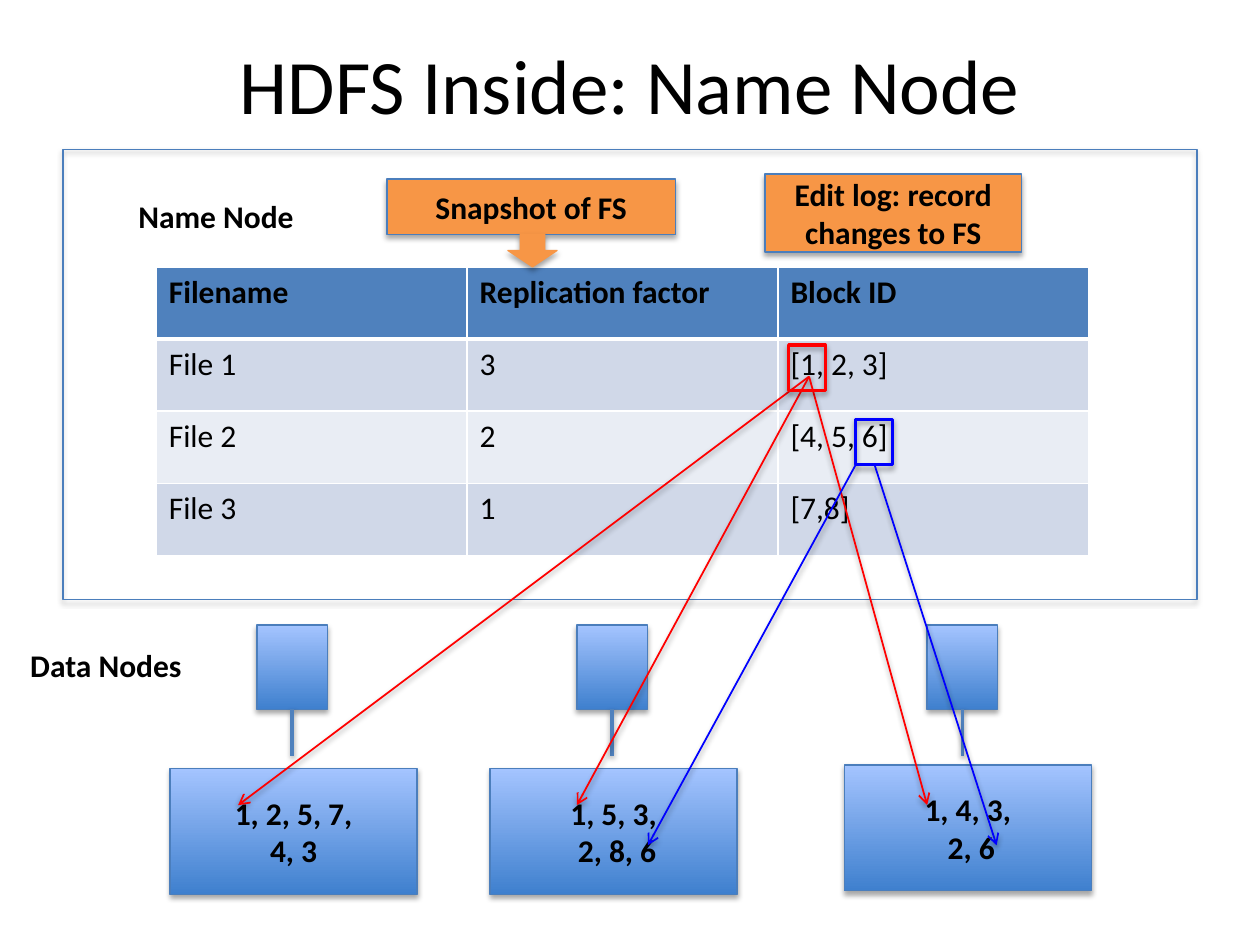
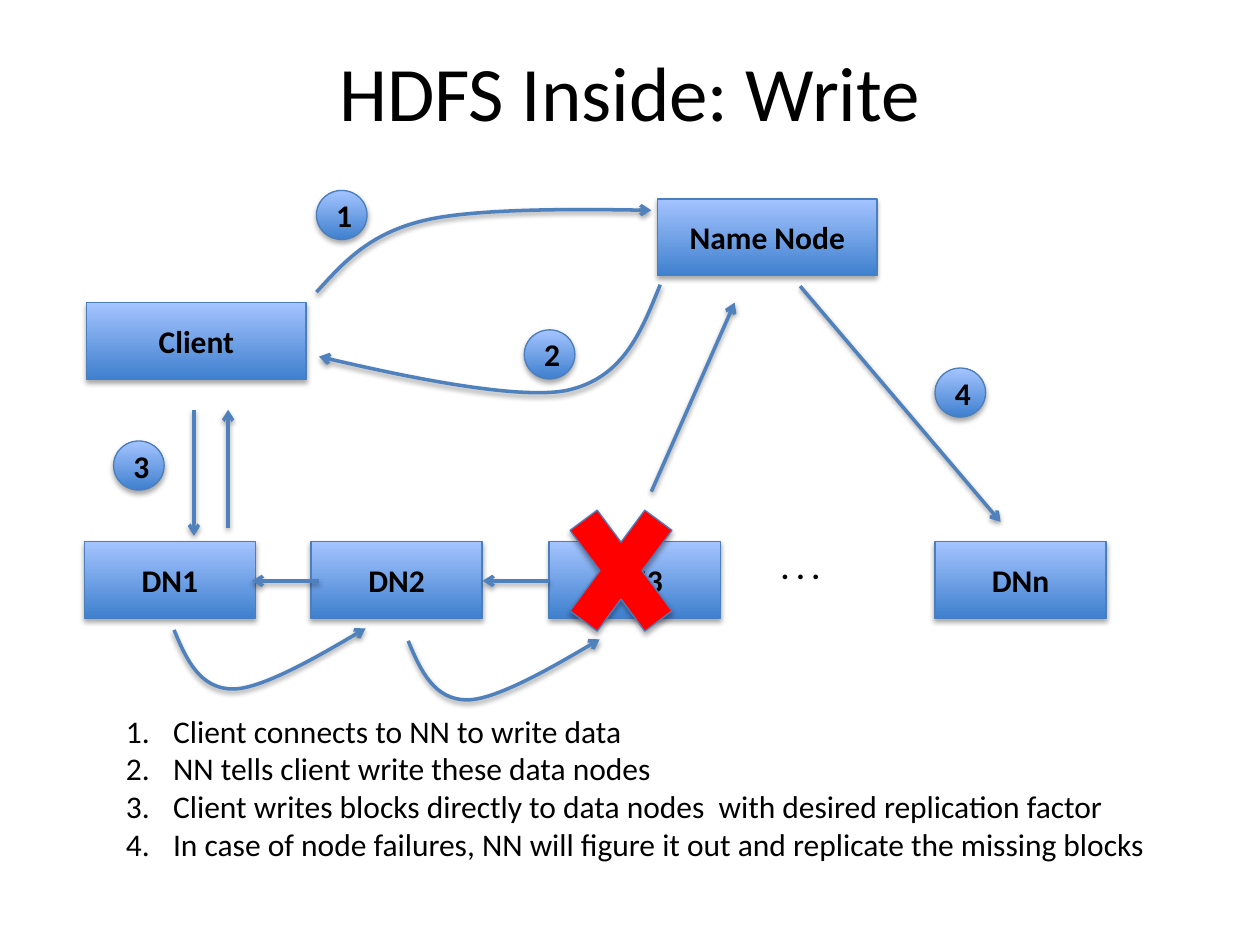
from lxml.etree import SubElement
from pptx import Presentation
from pptx.dml.color import RGBColor
from pptx.enum.shapes import MSO_CONNECTOR, MSO_SHAPE
from pptx.enum.text import MSO_ANCHOR, PP_ALIGN
from pptx.oxml.ns import qn
from pptx.util import Cm, Pt

# Shared style
FONT = "Calibri"
BLACK = RGBColor(0x00, 0x00, 0x00)
WHITE = RGBColor(0xFF, 0xFF, 0xFF)
RED = RGBColor(0xFF, 0x00, 0x00)
BLUE = RGBColor(0x00, 0x00, 0xFF)
ORANGE = RGBColor(0xF7, 0x96, 0x46)
ACCENT = RGBColor(0x4F, 0x81, 0xBD)
OUTLINE = RGBColor(0x4B, 0x7E, 0xBC)
NODE_BOTTOM = RGBColor(0x3F, 0x80, 0xCE)
NODE_TOP = RGBColor(0xA4, 0xC4, 0xFF)
ROW_DARK = RGBColor(0xD0, 0xD8, 0xE8)
ROW_LIGHT = RGBColor(0xE9, 0xED, 0xF4)
GRADIENT = (NODE_BOTTOM, NODE_TOP)


def write_text(frame, text, *, size=18, bold=True, align=PP_ALIGN.LEFT,
               anchor=MSO_ANCHOR.TOP, numbered=False):
    """Write one paragraph per line of text."""
    frame.word_wrap = True
    frame.vertical_anchor = anchor
    for index, line in enumerate(text.split("\n")):
        paragraph = frame.add_paragraph() if index else frame.paragraphs[0]
        paragraph.alignment = align
        if numbered:
            properties = paragraph._p.get_or_add_pPr()
            properties.set("marL", str(Cm(0.95)))
            properties.set("indent", str(-Cm(0.95)))
            SubElement(properties, qn("a:buAutoNum"), type="arabicPeriod")
        run = paragraph.add_run()
        run.text = line
        run.font.name = FONT
        run.font.size = Pt(size)
        run.font.bold = bold
        run.font.color.rgb = BLACK


def add_shadow(shape, distance, opacity):
    """Cast a soft shadow straight down."""
    effects = SubElement(shape._element.spPr, qn("a:effectLst"))
    shadow = SubElement(effects, qn("a:outerShdw"), blurRad=str(Pt(3.1)),
                        dist=str(Pt(distance)), dir="5400000", rotWithShape="0")
    color = SubElement(shadow, qn("a:srgbClr"), val=str(BLACK))
    SubElement(color, qn("a:alpha"), val=str(opacity * 1000))


def add_border(cell, side, width):
    border = SubElement(cell._tc.get_or_add_tcPr(), qn(f"a:ln{side}"), w=str(Pt(width)))
    fill = SubElement(border, qn("a:solidFill"))
    SubElement(fill, qn("a:srgbClr"), val=str(WHITE))


class SlideBuilder:
    """Holds the deck and the slide being drawn; lengths are in centimetres."""

    def __init__(self, presentation):
        self.presentation = presentation
        self.slide = None

    def start(self, title, top):
        self.slide = self.presentation.slides.add_slide(self.presentation.slide_layouts[6])
        self.text(title, 1.27, top, 22.86, 3.18, size=44, bold=False,
                  align=PP_ALIGN.CENTER, anchor=MSO_ANCHOR.MIDDLE)

    def text(self, text, left, top, width, height, **style):
        box = self.slide.shapes.add_textbox(Cm(left), Cm(top), Cm(width), Cm(height))
        write_text(box.text_frame, text, **style)

    def box(self, left, top, width, height, text="", kind=MSO_SHAPE.RECTANGLE,
            fill=GRADIENT, line=OUTLINE, weight=0.75):
        shape = self.slide.shapes.add_shape(kind, Cm(left), Cm(top), Cm(width), Cm(height))
        if fill is None:
            shape.fill.background()
        elif fill is GRADIENT:
            shape.fill.gradient()
            shape.fill.gradient_angle = 90
            for stop, color in zip(shape.fill.gradient_stops, GRADIENT):
                stop.color.rgb = color
        else:
            shape.fill.solid()
            shape.fill.fore_color.rgb = fill
        shape.line.color.rgb = line
        shape.line.width = Pt(weight)
        add_shadow(shape, 1.8, 35)
        if text:
            write_text(shape.text_frame, text, align=PP_ALIGN.CENTER,
                       anchor=MSO_ANCHOR.MIDDLE)

    def finish_line(self, shape, color, weight, arrow):
        shape.line.color.rgb = color
        shape.line.width = Pt(weight)
        if arrow:
            SubElement(shape._element.spPr.find(qn("a:ln")), qn("a:tailEnd"), type="arrow")
        add_shadow(shape, 1.6, 38)

    def line(self, start, end, color=ACCENT, weight=2, arrow=True):
        connector = self.slide.shapes.add_connector(
            MSO_CONNECTOR.STRAIGHT, *(Cm(value) for value in (*start, *end)))
        self.finish_line(connector, color, weight, arrow)

    def curve(self, points):
        """Draw a Bezier arrow: a start point, then two controls and an end per piece."""
        points = [(Cm(x), Cm(y)) for x, y in points]
        builder = self.slide.shapes.build_freeform(*points[0])
        builder.add_line_segments(points[1:], close=False)
        shape = builder.convert_to_shape()
        outline = next(shape._element.iter(qn("a:path")))
        segments = outline.findall(qn("a:lnTo"))
        for index, segment in enumerate(segments):
            if index % 3 == 0:
                bezier = SubElement(outline, qn("a:cubicBezTo"))
            bezier.append(segment[0])
            outline.remove(segment)
        shape.fill.background()
        self.finish_line(shape, ACCENT, 2, True)

    def table(self, rows, left, top, width, height):
        table = self.slide.shapes.add_table(
            len(rows), len(rows[0]), Cm(left), Cm(top), Cm(width), Cm(height)).table
        for row_index, row in enumerate(rows):
            header = row_index == 0
            fill = ACCENT if header else ROW_DARK if row_index % 2 else ROW_LIGHT
            for column_index, value in enumerate(row):
                cell = table.cell(row_index, column_index)
                for side in "LRTB":
                    thick = (header and side == "B") or (row_index == 1 and side == "T")
                    add_border(cell, side, 3 if thick else 1)
                cell.fill.solid()
                cell.fill.fore_color.rgb = fill
                write_text(cell.text_frame, value, bold=header)


def draw_name_node(builder):
    # Name node frame and file table
    builder.start("HDFS Inside: Name Node", 0.1)
    builder.box(1.27, 3.02, 22.86, 9.07, fill=None)
    builder.table([
        ("Filename", "Replication factor", "Block ID"),
        ("File 1", "3", "[1, 2, 3]"),
        ("File 2", "2", "[4, 5, 6]"),
        ("File 3", "1", "[7,8]"),
    ], 3.15, 5.38, 18.8, 5.82)

    # Data nodes with their blocks
    data_nodes = [
        (5.18, 3.43, 15.49, "1, 2, 5, 7,\n4, 3"),
        (11.63, 9.88, 15.49, "1, 5, 3,\n 2, 8, 6"),
        (18.69, 17.02, 15.42, "1, 4, 3,\n 2, 6"),
    ]
    for node_left, blocks_left, blocks_top, blocks in data_nodes:
        center = node_left + 0.71
        builder.box(node_left, 12.6, 1.42, 1.7)
        builder.line((center, 14.3), (center, 15.24), arrow=False)
        builder.box(blocks_left, blocks_top, 4.98, 2.54, blocks)

    # Labels
    builder.text("Name Node", 2.54, 3.84, 5.26, 1.02)
    builder.text("Data Nodes", 0.36, 12.9, 5.26, 1.02)
    builder.box(7.8, 3.61, 5.82, 1.12, "Snapshot of FS", fill=ORANGE)

    # Replicas of blocks 1 and 6
    for replica_x in (4.8, 11.63, 18.69):
        builder.line((16.31, 7.59), (replica_x, 16.23), RED, 1)
    builder.box(15.9, 6.96, 0.74, 0.91, fill=None, line=RED, weight=2)
    builder.box(17.25, 8.46, 0.74, 0.91, fill=None, line=BLUE, weight=2)
    for block_x, replica_x in ((17.25, 13.06), (17.63, 20.09)):
        builder.line((block_x, 9.37), (replica_x, 17.04), BLUE, 1)

    # Edit log and snapshot arrow
    builder.box(15.42, 3.51, 5.18, 1.57, "Edit log: record changes to FS", fill=ORANGE)
    builder.box(10.24, 4.72, 0.99, 0.66, kind=MSO_SHAPE.DOWN_ARROW, fill=ORANGE, line=ORANGE)


def draw_write(builder):
    # Client, name node and data nodes
    builder.start("HDFS Inside: Write", 0.23)
    builder.box(1.75, 6.1, 4.42, 1.55, "Client")
    builder.box(13.26, 4.01, 4.42, 1.55, "Name Node")
    for name, left in (("DN1", 1.7), ("DN2", 6.27), ("DN3", 11.07), ("DNn", 18.85)):
        builder.box(left, 10.92, 3.45, 1.55, name)
    builder.text(". . .", 15.49, 10.92, 3.07, 1.02)

    # Request and reply between client and name node
    builder.curve([(6.38, 5.89), (6.91, 5.31), (7.42, 4.72), (8.53, 4.45),
                   (9.65, 4.17), (13.13, 4.24), (13.13, 4.24)])
    builder.curve([(13.31, 5.74), (12.93, 6.68), (12.57, 7.62), (11.43, 7.87),
                   (10.29, 8.1), (6.43, 7.19), (6.43, 7.19)])

    # Failed node and step numbers
    builder.box(11.07, 9.55, 2.9, 3.91, kind=MSO_SHAPE.MATH_MULTIPLY, fill=RED)
    steps = [(6.38, 3.84), (10.57, 6.65), (2.29, 8.89), (18.85, 7.42)]
    for number, (left, top) in enumerate(steps, start=1):
        builder.box(left, top, 1.02, 0.99, str(number), kind=MSO_SHAPE.OVAL)

    # Straight arrows
    for start, end in [
        ((3.91, 8.26), (3.91, 10.8)),
        ((4.6, 10.64), (4.6, 8.26)),
        ((16.13, 5.77), (20.17, 10.52)),
        ((13.13, 9.91), (14.81, 6.1)),
        ((11.07, 11.71), (9.73, 11.71)),
        ((6.43, 11.71), (5.08, 11.71)),
    ]:
        builder.line(start, end)

    # Replication from one data node to the next
    hop = [(3.51, 12.7), (3.76, 13.31), (4.04, 13.89), (4.7, 13.89),
           (5.33, 13.89), (7.37, 12.67), (7.37, 12.67)]
    for shift_x, shift_y in ((0, 0), (4.72, 0.22)):
        builder.curve([(x + shift_x, y + shift_y) for x, y in hop])

    # Explanation of the steps
    builder.text("Client connects to NN to write data\n"
                 "NN tells client write these data nodes\n"
                 "Client writes blocks directly to data nodes  with desired replication factor\n"
                 "In case of node failures, NN will figure it out and replicate the missing blocks",
                 2.29, 14.22, 22.1, 3.33, bold=False, numbered=True)


def main():
    presentation = Presentation()
    presentation.slide_width = Cm(25.4)
    presentation.slide_height = Cm(19.05)
    builder = SlideBuilder(presentation)
    draw_name_node(builder)
    draw_write(builder)
    presentation.save("out.pptx")


if __name__ == "__main__":
    main()
